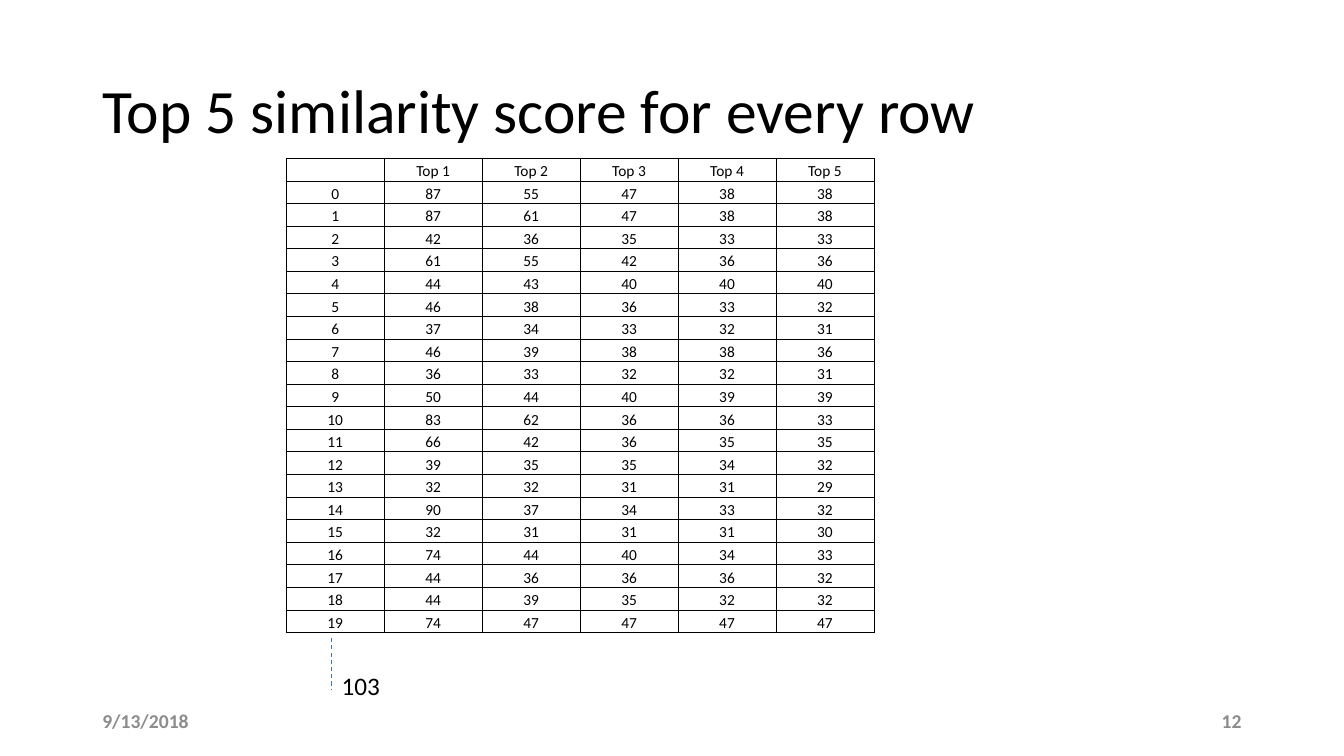
from lxml.etree import SubElement as Sub
from pptx import Presentation
from pptx.dml.color import RGBColor
from pptx.enum.dml import MSO_LINE as Dash
from pptx.enum.shapes import MSO_CONNECTOR as Conn
from pptx.enum.text import MSO_ANCHOR as Anchor, MSO_AUTO_SIZE as Fit, PP_ALIGN as Align
from pptx.oxml import parse_xml
from pptx.oxml.ns import nsdecls, qn
from pptx.util import Inches, Pt

prs = Presentation()
prs.slide_width, prs.slide_height = Inches(40 / 3), Inches(7.5)
slide = prs.slides.add_slide(prs.slide_layouts[6])
shapes = slide.shapes

# Grid of 160 columns by 90 rows
unit = prs.slide_width / 160


def grid(*cells):
    return [round(n * unit) for n in cells]


def style(font, size, color, bold=False):
    font.name, font.size, font.bold = "Calibri", Pt(size), bold
    font.color.rgb = RGBColor.from_string(color)


# Title, date, page number and last row label
left, foot, tall = 11, 83.4, 4.8
axis = 39.48
black, gray = "000000", "8C8C8C"
texts = [
    ("Top 5 similarity score for every row", (left, 4.8, 138, 17.4), 44, black, Align.LEFT, Anchor.MIDDLE),
    ("9/13/2018", (left, foot, 36, tall), 14, gray, Align.LEFT, Anchor.MIDDLE),
    ("12", (113, foot, 36, tall), 14, gray, Align.RIGHT, Anchor.MIDDLE),
    ("103", (axis, 79.2, 12, tall), 18, black, Align.LEFT, Anchor.TOP),
]
for text, spot, size, color, align, anchor in texts:
    frame = shapes.add_textbox(*grid(*spot)).text_frame
    frame.word_wrap = True
    frame.vertical_anchor = anchor
    frame.auto_size = Fit.SHAPE_TO_FIT_TEXT if anchor == Anchor.TOP else Fit.NONE
    frame.text = text
    para = frame.paragraphs[0]
    para.alignment = align
    para.line_spacing = 0.9 if size == 44 else 1
    style(para.runs[0].font, size, color, color == gray)

# Dashed line to the last row
dash = shapes.add_connector(Conn.STRAIGHT, *grid(axis, 75.96, axis, 82.2))
dash.line.color.rgb = RGBColor.from_string("4472C4")
dash.line.width = Pt(0.75)
dash.line.dash_style = Dash.DASH
Sub(dash._element.spPr, qn("a:effectLst"))

# Score table
scores = [
    (87, 55, 47, 38, 38), (87, 61, 47, 38, 38), (42, 36, 35, 33, 33),
    (61, 55, 42, 36, 36), (44, 43, 40, 40, 40), (46, 38, 36, 33, 32),
    (37, 34, 33, 32, 31), (46, 39, 38, 38, 36), (36, 33, 32, 32, 31),
    (50, 44, 40, 39, 39), (83, 62, 36, 36, 33), (66, 42, 36, 35, 35),
    (39, 35, 35, 34, 32), (32, 32, 31, 31, 29), (90, 37, 34, 33, 32),
    (32, 31, 31, 31, 30), (74, 44, 40, 34, 33), (44, 36, 36, 36, 32),
    (44, 39, 35, 32, 32), (74, 47, 47, 47, 47),
]
rows = [["", *(f"Top {n}" for n in range(1, 6))]]
rows += [[n, *row] for n, row in enumerate(scores)]
table = shapes.add_table(len(rows), 6, *grid(34.08, 18.84, 69.96, 56.52)).table
table.first_row = table.horz_banding = False

for r, row in enumerate(rows):
    for c, value in enumerate(row):
        cell = table.cell(r, c)
        cell.fill.background()
        cell.vertical_anchor = Anchor.BOTTOM
        cell.margin_left = cell.margin_right = cell.margin_top = Inches(0.01)
        cell.margin_bottom = 0
        cell.text = str(value)
        para = cell.text_frame.paragraphs[0]
        para.alignment = Align.CENTER
        for run in para.runs:
            style(run.font, 11, black)
        if not para.runs:
            Sub(para._p, qn("a:endParaRPr"), sz="1100")
        for i, side in enumerate("LRTB"):
            cell._tc.tcPr.insert(i, parse_xml(
                f'<a:ln{side} {nsdecls("a")} w="{Pt(0.5)}"><a:solidFill>'
                f'<a:srgbClr val="{black}"/></a:solidFill></a:ln{side}>'))

prs.save("out.pptx")
